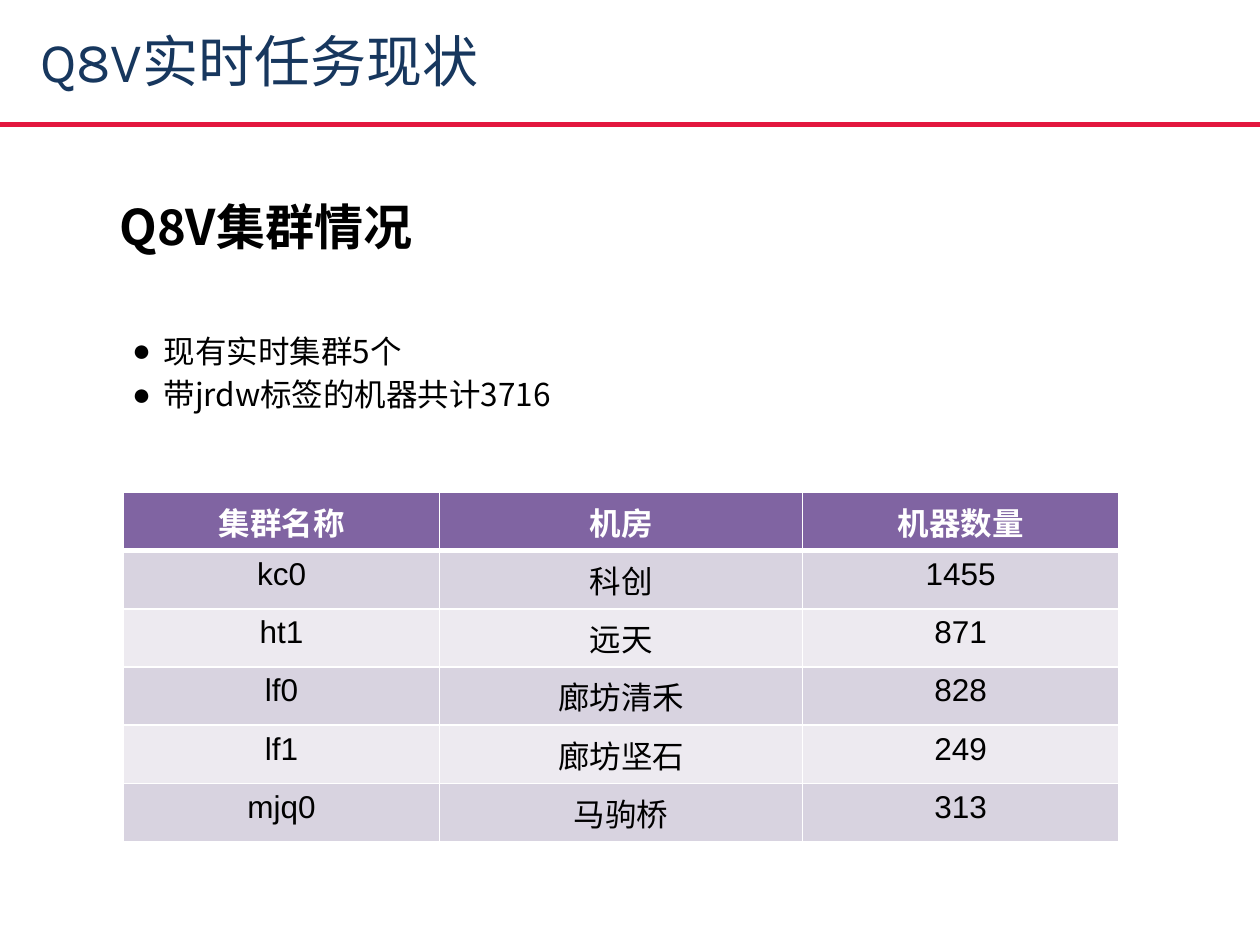
import pptx
import pptx.dml.color
import pptx.enum.shapes
import pptx.enum.text
import pptx.oxml
import pptx.oxml.ns
import pptx.util

Inches = pptx.util.Inches
Pt = pptx.util.Pt
qn = pptx.oxml.ns.qn
ALIGN = pptx.enum.text.PP_ALIGN
ANCHOR = pptx.enum.text.MSO_ANCHOR

COLORS = {
    "title": "17375E",
    "rule": "E3173E",
    "text": "000000",
    "white": "FFFFFF",
    "header": "8064A2",
    "odd": "D8D3E0",
    "even": "EDEAF0",
}
SANS = "Noto Sans CJK SC"
ROWS = [
    ["集群名称", "机房", "机器数量"],
    ["kc0", "科创", "1455"],
    ["ht1", "远天", "871"],
    ["lf0", "廊坊清禾", "828"],
    ["lf1", "廊坊坚石", "249"],
    ["mjq0", "马驹桥", "313"],
]


def rgb(name):
    return pptx.dml.color.RGBColor.from_string(COLORS[name])


def add_child(parent, tag, **attrs):
    el = parent.makeelement(qn(tag), attrs)
    parent.append(el)
    return el


class Deck:
    def __init__(self, s):
        self.s = s

    def run(self, p, text, color, **font):
        r = p.add_run()
        r.text = text
        for key, value in font.items():
            setattr(r.font, key, value)
        r.font.color.rgb = rgb(color)
        if font["name"] == SANS:
            add_child(r.font._element, "a:ea", typeface=SANS)

    def rule(self, y, color, width):
        line = self.s.shapes.add_connector(
            pptx.enum.shapes.MSO_CONNECTOR.STRAIGHT, 0, Inches(y), Inches(10), Inches(y))
        line.line.color.rgb = rgb(color)
        line.line.width = Pt(width)
        add_child(line._element.spPr, "a:effectLst")

    def text(self, box, lines, color, inset=0.1, anchor=ANCHOR.TOP, spacing=1.0, bullet=None, **font):
        tf = self.s.shapes.add_textbox(*map(Inches, box)).text_frame
        frame = {"word_wrap": True, "vertical_anchor": anchor,
                 "margin_top": Inches(inset), "margin_bottom": Inches(inset)}
        for key, value in frame.items():
            setattr(tf, key, value)
        for i, line in enumerate(lines):
            p = tf.add_paragraph() if i else tf.paragraphs[0]
            p.line_spacing = spacing
            if bullet:
                self.bullet(p, bullet, color)
            self.run(p, line, color, **font)

    def bullet(self, p, char, color):
        pPr = p._p.get_or_add_pPr()
        pPr.set("marL", str(Inches(0.5)))
        pPr.set("indent", str(Inches(-0.25)))
        add_child(add_child(pPr, "a:buClr"), "a:srgbClr", val=COLORS[color])
        add_child(pPr, "a:buFont", typeface="Arial")
        add_child(pPr, "a:buChar", char=char)

    def borders(self, cell, bottom):
        tcPr = cell._tc.get_or_add_tcPr()
        for i, (side, width) in enumerate({"L": 1, "R": 1, "T": 1, "B": bottom}.items()):
            ln = tcPr.makeelement(qn(f"a:ln{side}"), {"w": str(Pt(width))})
            add_child(add_child(ln, "a:solidFill"), "a:srgbClr", val=COLORS["white"])
            tcPr.insert(i, ln)

    def table(self, box, widths, rows):
        table = self.s.shapes.add_table(len(rows), len(widths), *map(Inches, box)).table
        for col, width in zip(table.columns, widths):
            col.width = Inches(width)
        for i, row in enumerate(rows):
            header = i == 0
            fill = "header" if header else "odd" if i % 2 else "even"
            for j, value in enumerate(row):
                cell = table.cell(i, j)
                cell.fill.solid()
                cell.fill.fore_color.rgb = rgb(fill)
                self.borders(cell, 3 if header else 1)
                p = cell.text_frame.paragraphs[0]
                p.alignment = ALIGN.CENTER
                self.run(p, value, "white" if header else "text",
                         name="Arial", size=Pt(18), bold=header)


def main():
    prs = pptx.Presentation()
    prs.slide_width, prs.slide_height = Inches(10), Inches(7.5)
    deck = Deck(prs.slides.add_slide(prs.slide_layouts[6]))
    deck.rule(0.99, "rule", 3)
    deck.text((0.22, 0.07, 9.59, 0.82), ["Q8V实时任务现状"], "title", inset=0.05,
              anchor=ANCHOR.MIDDLE, name="Karla", size=Pt(32))
    deck.text((0.7, 2.49, 9.3, 1.18), ["现有实时集群5个", "带jrdw标签的机器共计3716"],
              "text", spacing=1.15, bullet="●", name=SANS, size=Pt(18))
    deck.table((0.98, 3.91, 7.89, 2.77), (2.51, 2.88, 2.51), ROWS)
    deck.text((0.85, 1.23, 9.3, 0.55), ["Q8V集群情况"], "text", spacing=1.5,
              name=SANS, size=Pt(28), bold=True)
    prs.save("out.pptx")


if __name__ == "__main__":
    main()
